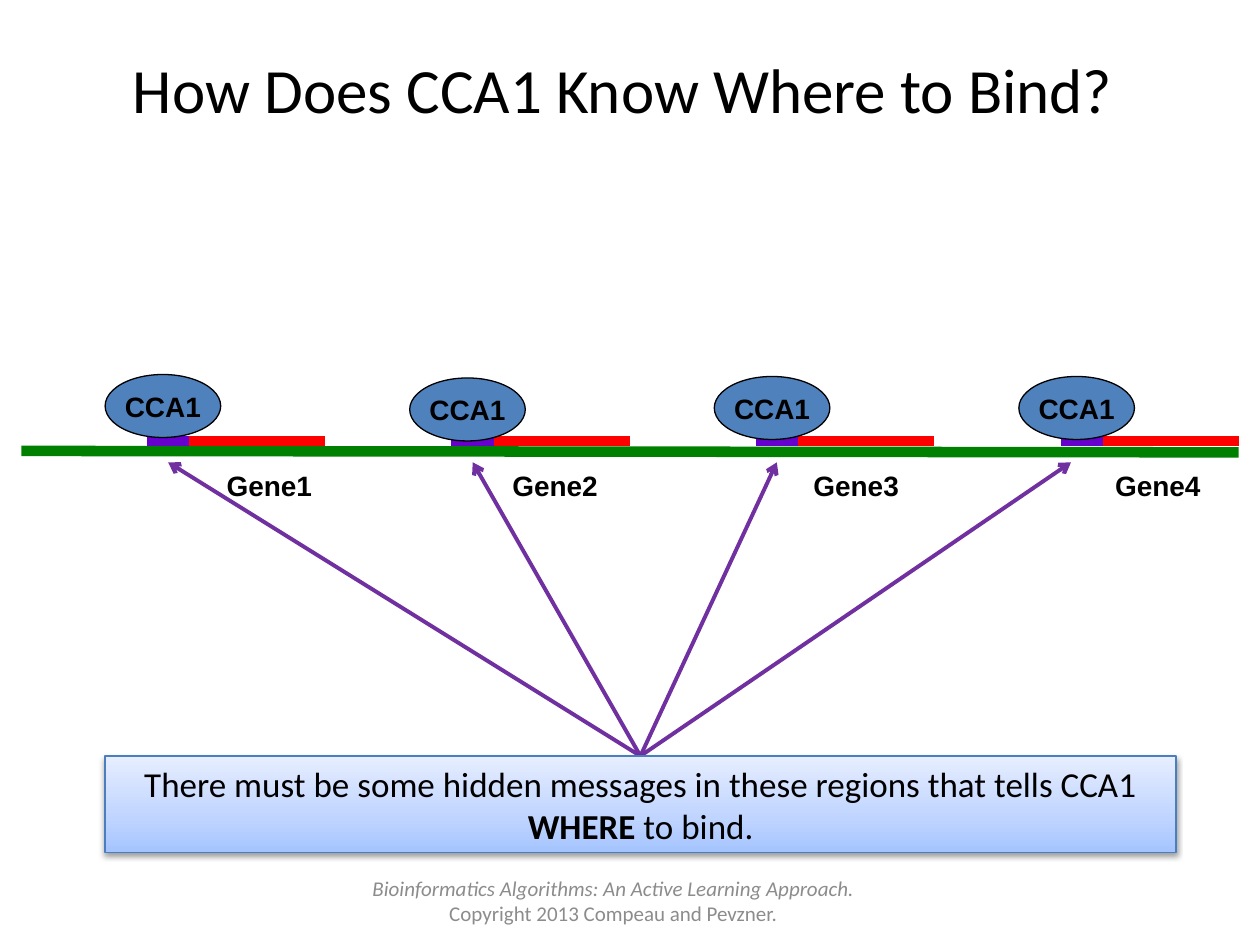
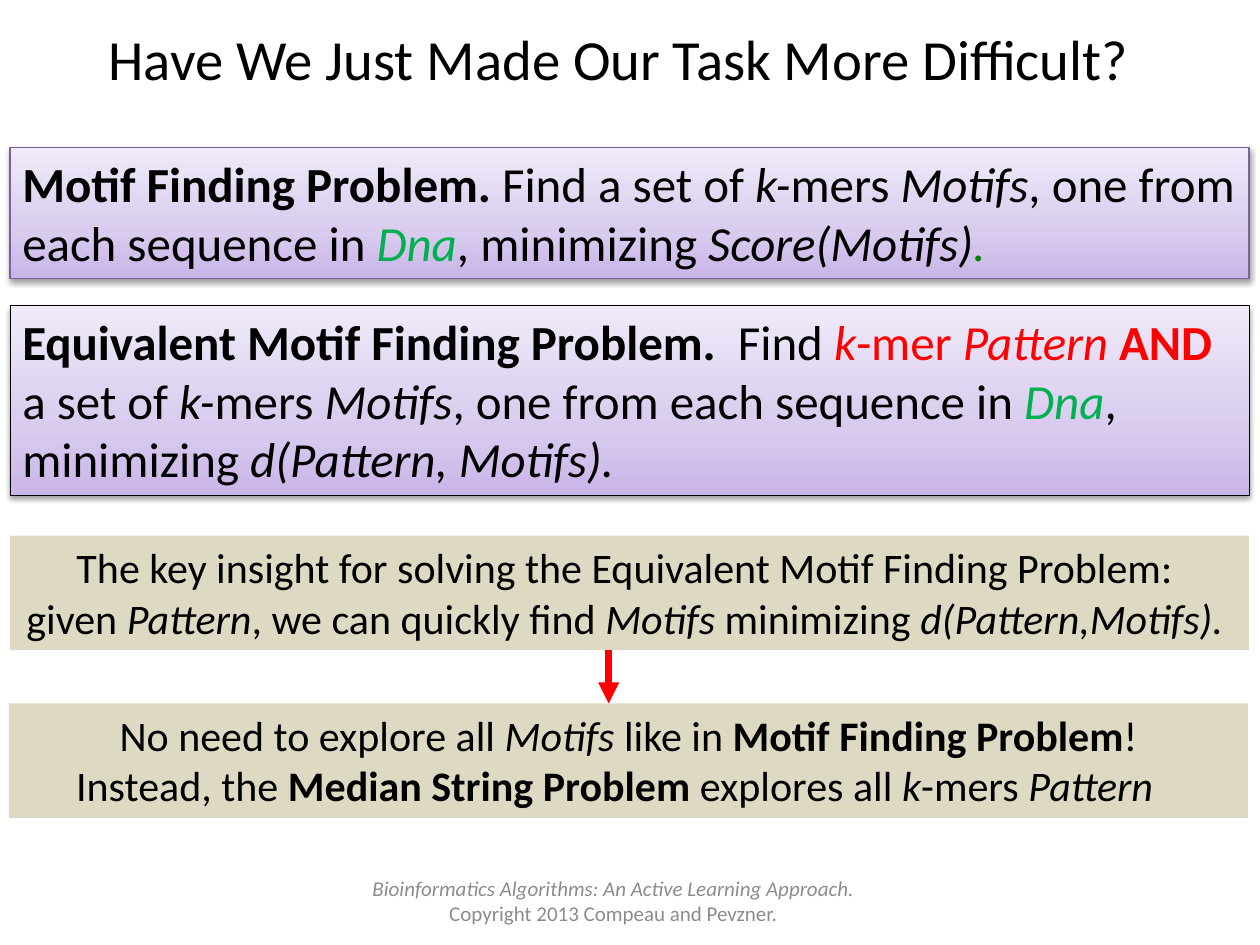
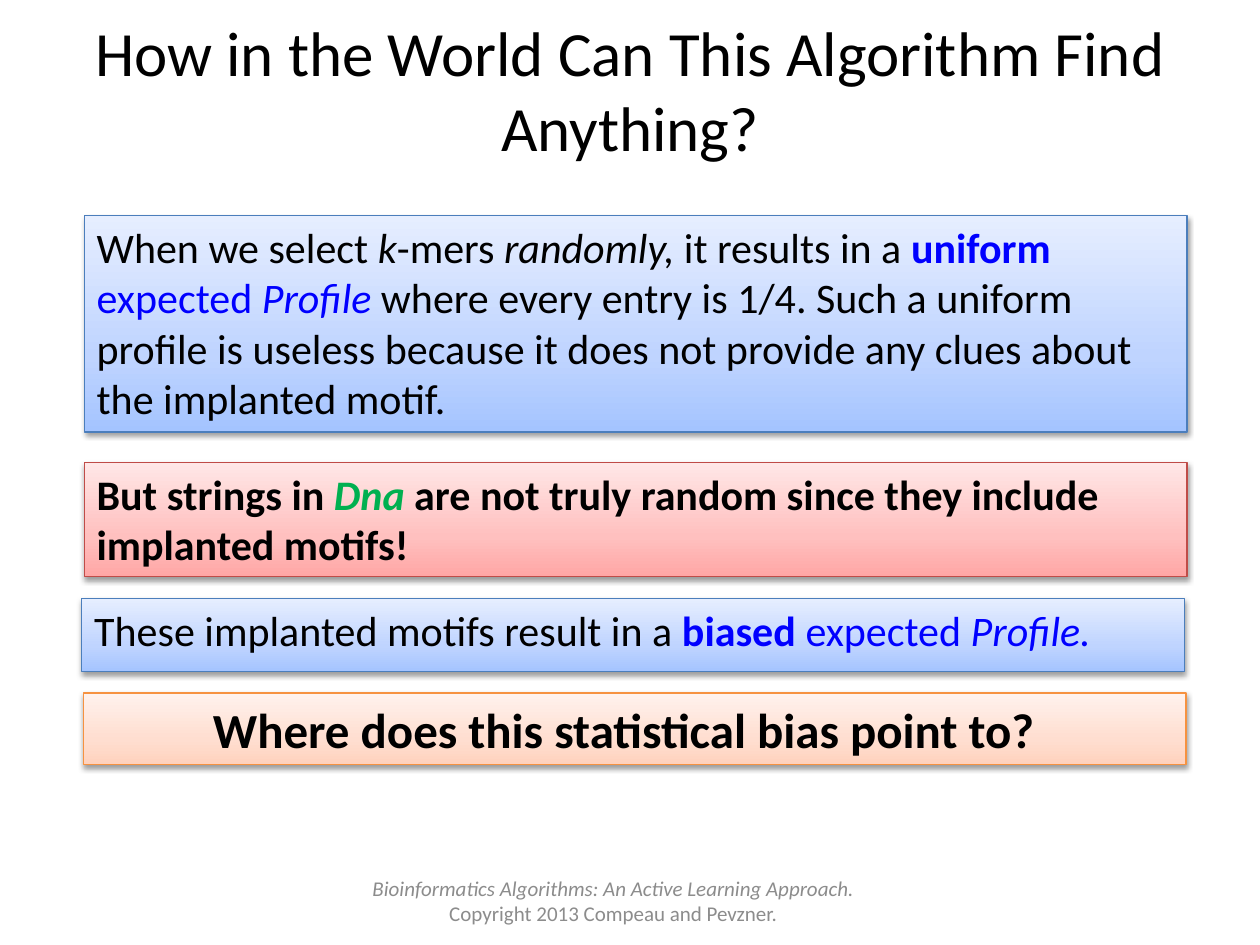
"""Build three slides on motif finding in DNA."""
from copy import deepcopy

from lxml import etree
from pptx import Presentation
from pptx.dml.color import RGBColor
from pptx.enum.shapes import MSO_CONNECTOR, MSO_SHAPE
from pptx.enum.text import MSO_ANCHOR, PP_ALIGN
from pptx.oxml.ns import qn
from pptx.util import Cm, Pt

RECT, OVAL = MSO_SHAPE.RECTANGLE, MSO_SHAPE.OVAL
LINE = MSO_CONNECTOR.STRAIGHT
TOP, MIDDLE = MSO_ANCHOR.TOP, MSO_ANCHOR.MIDDLE
LEFT, CENTER = PP_ALIGN.LEFT, PP_ALIGN.CENTER

SANS, LABEL = "Calibri", "Arial"
BLACK, RED, GREEN = "000000", "FF0000", "008000"
STEEL, PURPLE, VIOLET = "4F81BD", "6600CC", "7030A0"
SAND, GRAY = "DDD9C3", "8C8C8C"
INKS = {"r": RED, "g": "00B050", "d": GREEN, "u": "0000FF"}
TONES = {
    "blue": ("4B7EBC", ("A4C4FF", "BFD4FF", "E6EEFF")),
    "lilac": ("7D60A0", ("C9B5E8", "D8CBEE", "F0EAF9")),
    "rose": ("BF4C48", ("FFA6A5", "FFC0BF", "FFE7E7")),
    "peach": ("F69240", ("FFD2BD", "FFDED0", "FFF2ED")),
}
STOPS = (0, 0.35, 1)
FOOTER = [
    [("Bioinformatics Algorithms: An Active Learning Approach.", "i")],
    [("Copyright 2013 Compeau and Pevzner.", "")],
]


def rgb(code):
    """Return the colour for a hex string."""
    return RGBColor.from_string(code)


def write(shape, paras, size, align=LEFT, anchor=TOP, font=SANS, ink=BLACK, wrap=True):
    """Fill a shape with paragraphs of (text, marks) runs."""
    frame = shape.text_frame
    frame.word_wrap = wrap
    frame.vertical_anchor = anchor
    for i, runs in enumerate(paras):
        para = frame.add_paragraph() if i else frame.paragraphs[0]
        para.alignment = align
        for text, marks in runs:
            run = para.add_run()
            run.text = text
            run.font.name = font
            run.font.size = Pt(size)
            run.font.bold = "b" in marks
            run.font.italic = "i" in marks
            hues = [INKS[m] for m in marks if m in INKS]
            run.font.color.rgb = rgb(hues[0] if hues else ink)


def indent(shape, row, right):
    """Set the right indent of one paragraph."""
    para = shape.text_frame.paragraphs[row]
    para._p.get_or_add_pPr().set("marR", str(Cm(right)))


def text(slide, box, paras, size, **style):
    """Add a text box."""
    shape = slide.shapes.add_textbox(*map(Cm, box))
    write(shape, paras, size, **style)


def solid(slide, kind, box, fill, edge=None):
    """Add a flat shape with an optional thin outline."""
    shape = slide.shapes.add_shape(kind, *map(Cm, box))
    shape.shadow.inherit = False
    shape.fill.solid()
    shape.fill.fore_color.rgb = rgb(fill)
    if edge:
        shape.line.color.rgb = rgb(edge)
        shape.line.width = Pt(0.75)
    else:
        shape.line.fill.background()
    return shape


def shade(shape):
    """Give a shape a soft shadow below it."""
    shape.shadow.inherit = False
    effects = shape._element.spPr.find(qn("a:effectLst"))
    outer = etree.SubElement(effects, qn("a:outerShdw"), blurRad="40000",
                             dist="20000", dir="5400000", rotWithShape="0")
    color = etree.SubElement(outer, qn("a:srgbClr"), val=BLACK)
    etree.SubElement(color, qn("a:alpha"), val="38000")


def panel(slide, box, tone, paras, size, align=LEFT, edge=None, width=0.75):
    """Add a shadowed gradient panel with text."""
    shape = slide.shapes.add_shape(RECT, *map(Cm, box))
    line, hues = TONES[tone]
    fill = shape.fill
    fill.gradient()
    fill.gradient_angle = 90
    stops = shape._element.spPr.find(qn("a:gradFill")).find(qn("a:gsLst"))
    stops.append(deepcopy(stops[0]))
    for stop, hue, place in zip(fill.gradient_stops, hues, STOPS):
        stop.color.rgb = rgb(hue)
        stop.position = place
    shape.line.color.rgb = rgb(edge or line)
    shape.line.width = Pt(width)
    shade(shape)
    write(shape, paras, size, align)
    return shape


def line(slide, start, end, color, width, head=None):
    """Add a straight line, with an arrowhead if one is named."""
    link = slide.shapes.add_connector(LINE, *map(Cm, start + end))
    link.line.color.rgb = rgb(color)
    link.line.width = Pt(width)
    if head:
        etree.SubElement(link.line._ln, qn("a:tailEnd"), type=head)
    etree.SubElement(link._element.spPr, qn("a:effectLst"))


def start(deck, title, left=1.27, top=0.2, size=36):
    """Add a slide with its title and footer."""
    slide = deck.slides.add_slide(deck.slide_layouts[6])
    text(slide, (left, top, 22.86, 3.18), [[(title, "")]], size,
         align=CENTER, anchor=MIDDLE)
    text(slide, (6.55, 17.65, 11.63, 1.02), FOOTER, 12,
         align=CENTER, anchor=MIDDLE, ink=GRAY)
    return slide


def bind(deck):
    """Show CCA1 binding ahead of four genes."""
    slide = start(deck, "How Does CCA1 Know Where to Bind? ")
    line(slide, (0.43, 9.09), (24.97, 9.12), GREEN, 6)
    tops = (7.55, 7.62, 7.59, 7.59)
    names = (4.32, 10.08, 16.15, 22.23)
    tips = (3.39, 9.53, 15.66, 21.59)
    for i, (top, name, tip) in enumerate(zip(tops, names, tips)):
        shift = 6.14 * i
        site, gene, end = 2.96 + shift, 3.81 + shift, 6.55 + shift
        line(slide, (gene, 8.89), (end, 8.89), RED, 6)
        line(slide, (site, 8.89), (gene, 8.89), PURPLE, 6)
        oval = solid(slide, OVAL, (2.12 + shift, top, 2.33, 1.27), STEEL, BLACK)
        write(oval, [[("CCA1", "b")]], 16, CENTER, MIDDLE, LABEL, wrap=False)
        text(slide, (name, 9.32, 2.26, 0.94), [[(f"Gene{i + 1}", "b")]], 16,
             font=LABEL, wrap=False)
        line(slide, (12.91, 15.24), (tip, 9.32), VIOLET, 2.25, "arrow")
    panel(slide, (2.12, 15.24, 21.59, 1.95), "blue", [[
        ("There must be some hidden messages in these regions that tells CCA1 ", ""),
        ("WHERE", "b"), (" to bind.", "")]], 20, CENTER)


def task(deck):
    """Compare the two motif finding problems."""
    slide = start(deck, "Have We Just Made Our Task More Difficult? ", 1.17, -0.43, 32.4)
    panel(slide, (0.2, 6.15, 24.98, 3.84), "lilac", [[
        ("Equivalent Motif Finding Problem.", "b"), ("  Find ", ""),
        ("k", "ir"), ("-mer ", "r"), ("Pattern ", "ir"), ("AND ", "br"),
        ("a set of ", ""), ("k-", "i"), ("mers ", ""), ("Motifs", "i"),
        (", one from each sequence in ", ""), ("Dna", "ig"),
        (", minimizing ", ""), ("d(Pattern, Motifs).", "i")]], 28,
        edge=BLACK, width=0.25)
    panel(slide, (0.2, 2.97, 24.98, 2.64), "lilac", [[
        ("Motif Finding Problem.", "b"), (" Find a set of ", ""), ("k-", "i"),
        ("mers ", ""), ("Motifs", "i"), (", one from each sequence in ", ""),
        ("Dna", "ig"), (", minimizing ", ""), ("Score(Motifs)", "i"),
        (".", "id")]], 28)
    key = solid(slide, RECT, (0.2, 10.8, 24.98, 2.31), SAND)
    write(key, [
        [("The key insight for solving the Equivalent Motif Finding Problem: ", "")],
        [("given ", ""), ("Pattern", "i"), (", we can quickly find ", ""),
         ("Motifs", "i"), (" minimizing ", ""), ("d(Pattern,Motifs). ", "i")],
    ], 24, CENTER)
    line(slide, (12.27, 13.11), (12.27, 14.18), RED, 4, "triangle")
    gain = solid(slide, RECT, (0.18, 14.18, 24.98, 2.31), SAND)
    write(gain, [
        [("No need to explore all ", ""), ("Motifs ", "i"), ("like in ", ""),
         ("Motif Finding Problem", "b"), ("!", "")],
        [("Instead, the ", ""), ("Median String Problem ", "b"),
         ("explores all ", ""), ("k", "i"), ("-mers ", ""), ("Pattern", "i")],
    ], 24, CENTER)
    indent(gain, 1, 0.56)


def bias(deck):
    """Explain why random motifs still lead somewhere."""
    slide = start(deck, "How in the World Can This Algorithm Find Anything?")
    panel(slide, (1.65, 12.07, 22.23, 1.47), "blue", [[
        ("These implanted motifs result in a ", ""), ("biased ", "bu"),
        ("expected ", "u"), ("Profile.", "iu")]], 24)
    panel(slide, (1.7, 4.34, 22.23, 4.37), "blue", [[
        ("When we select ", ""), ("k", "i"), ("-mers ", ""), ("randomly,", "i"),
        (" it results in a ", ""), ("uniform", "bu"), (" expected ", "u"),
        ("Profile ", "iu"),
        ("where every entry is 1/4. Such a uniform profile is useless because "
         "it does not provide any clues about the implanted motif.", "")]], 24)
    panel(slide, (1.7, 9.32, 22.23, 2.31), "rose", [[
        ("But strings in ", "b"), ("Dna", "big"),
        (" are not truly random since they include implanted motifs!", "b")]], 24)
    ask = panel(slide, (1.68, 13.97, 22.23, 1.45), "peach", [[
        ("Where does this statistical bias point to?", "b")]], 28, CENTER)
    indent(ask, 0, 0.45)


def main():
    """Build and save the deck."""
    deck = Presentation()
    deck.slide_width, deck.slide_height = Cm(25.4), Cm(19.05)
    bind(deck)
    task(deck)
    bias(deck)
    deck.save("out.pptx")


if __name__ == "__main__":
    main()
